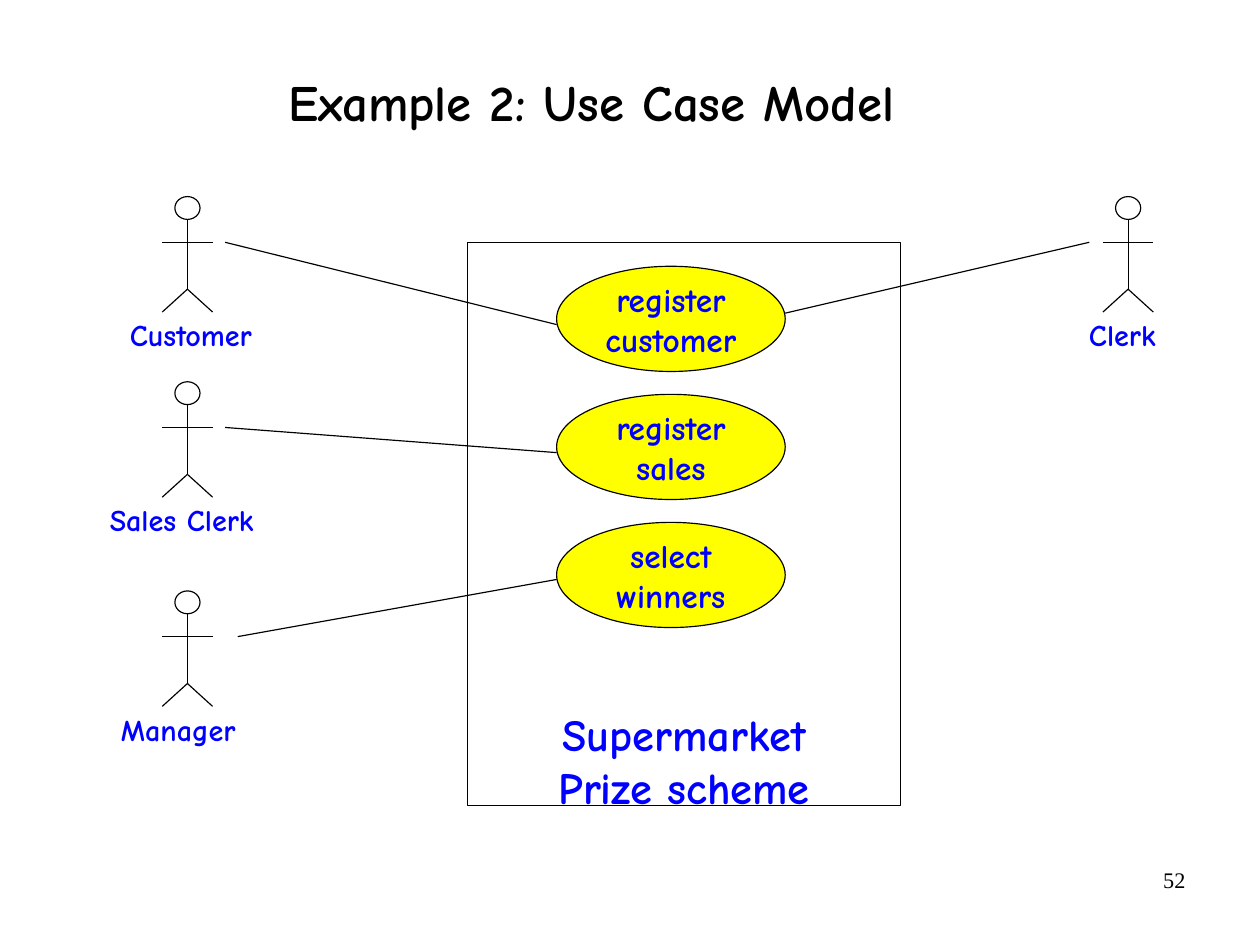
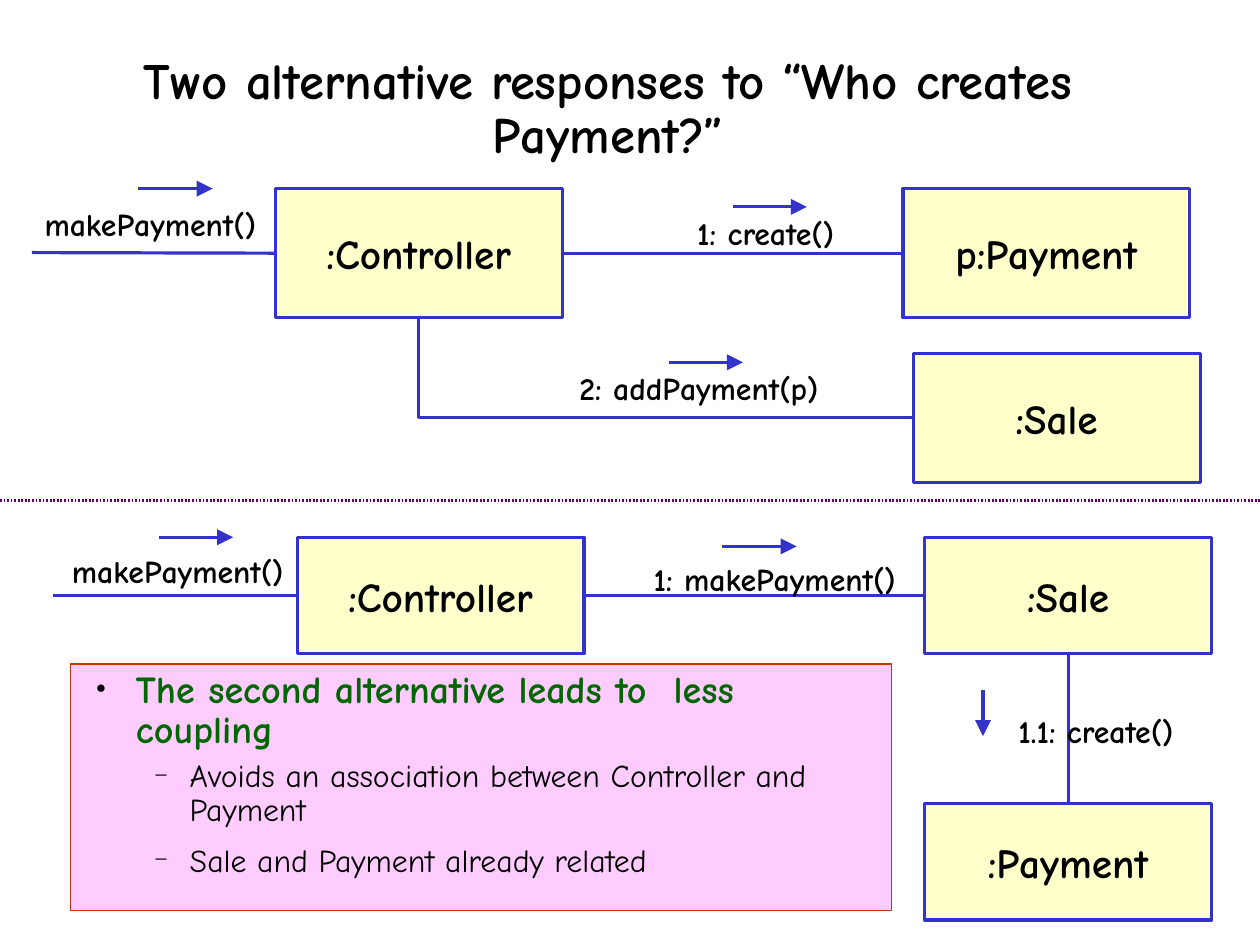
from dataclasses import dataclass

from pptx import Presentation
from pptx.dml.color import RGBColor
from pptx.enum.shapes import MSO_CONNECTOR as CONN, MSO_SHAPE as SHAPE
from pptx.enum.text import MSO_ANCHOR as ANCHOR, MSO_AUTO_SIZE as AUTO, PP_ALIGN as ALIGN
from pptx.oxml.ns import qn
from pptx.util import Cm, Inches, Pt
from lxml.etree import SubElement

BLACK = RGBColor(0x00, 0x00, 0x00)
BLUE = RGBColor(0x00, 0x00, 0xFF)
YELLOW = RGBColor(0xFF, 0xFF, 0x00)
INDIGO = RGBColor(0x33, 0x33, 0xCC)
CREAM = RGBColor(0xFF, 0xFF, 0xCC)
PINK = RGBColor(0xFF, 0xCC, 0xFF)
RUST = RGBColor(0xCC, 0x33, 0x00)
GREEN = RGBColor(0x00, 0x66, 0x00)
PURPLE = RGBColor(0x66, 0x00, 0x66)
FONT, SERIF = "Comic Neue", "Times New Roman"
SLIDE_W, SLIDE_H = Cm(28), Cm(21)
THIN, THICK = 0.75, 2
CASE_X, CASE_Y, CASE_W, CASE_H, CASE_STEP = 4.87, 2.33, 2, 0.92, 1.12
BOX_W = 2.51


@dataclass
class Actor:
    """A stick figure, its caption and its link to a use case."""
    name: str
    x: float
    y: float
    caption_x: float
    reach: float
    end: tuple[float, float]


@dataclass
class Box:
    """An object box in a collaboration diagram."""
    name: str
    x: float
    y: float
    h: float


@dataclass
class Message:
    """A message label with its direction arrow."""
    text: str
    x: float
    y: float
    arrow: tuple[float, float]
    dx: float = 0.65
    dy: float = 0


@dataclass
class Point:
    """A bulleted paragraph."""
    text: str
    level: int
    size: int
    color: RGBColor
    bold: bool
    left: float
    hang: float
    after: float
    bullet: str
    scale: int


ACTORS = [
    Actor("Customer", 1.64, 1.72, 1.67, 0.33, (CASE_X, 2.84)),
    Actor("Sales Clerk", 1.64, 3.34, 1.59, 0.33, (CASE_X, 3.96)),
    Actor("Manager", 1.64, 5.17, 1.56, 0.44, (CASE_X, 5.07)),
    Actor("Clerk", 9.87, 1.72, 9.82, -0.34, (CASE_X + CASE_W, 2.74)),
]
USE_CASES = ["register\ncustomer", "register\nsales", "select\nwinners"]
BOXES = [
    Box(":Controller", 2.41, 1.65, 1.13),
    Box("p:Payment", 7.9, 1.65, 1.13),
    Box(":Sale", 7.99, 3.09, 1.13),
    Box(":Controller", 2.6, 4.7, 1.02),
    Box(":Sale", 8.09, 4.7, 1.02),
    Box(":Payment", 8.09, 7.03, 1.02),
]
MESSAGES = [
    Message("makePayment()", 0.28, 1.73, (1.21, 1.65)),
    Message("1: create()", 5.99, 1.81, (6.41, 1.81)),
    Message("2: addPayment(p)", 4.96, 3.17, (5.85, 3.17)),
    Message("makePayment()", 0.52, 4.77, (1.39, 4.7)),
    Message("1: makePayment()", 5.61, 4.84, (6.32, 4.78)),
    Message("1.1: create()", 8.8, 6.17, (8.6, 6.04), 0, 0.4),
]
POINTS = [
    Point("The second alternative leads to  less coupling", 0, 24, GREEN, True, 0.46, 0.35, 6, "●", 45),
    Point("Avoids an association between Controller and Payment", 1, 20, BLACK, False, 0.93, 0.31, 10.9, "−", 75),
    Point("Sale and Payment already related", 1, 20, BLACK, False, 0.93, 0.31, 10.9, "−", 75),
]


def place(sp, x: float, y: float, w: float, h: float) -> None:
    """Move and size a shape, in inches."""
    sp.left, sp.top, sp.width, sp.height = Inches(x), Inches(y), Inches(w), Inches(h)


def set_frame(tf, anchor, dx: float = 0.11, dy: float = 0.06, wrap: bool = True) -> None:
    """Set the margins, anchor and wrapping of a text frame."""
    tf.auto_size = AUTO.NONE
    tf.word_wrap = wrap
    tf.vertical_anchor = anchor
    tf.margin_left = tf.margin_right = Inches(dx)
    tf.margin_top = tf.margin_bottom = Inches(dy)


def style(p, size: float, color: RGBColor, bold: bool = True, align=None, font: str = FONT) -> None:
    """Format a paragraph and its runs."""
    p.alignment = align
    for r in p.runs:
        r.font.name, r.font.size, r.font.bold = font, Pt(size), bold
        r.font.color.rgb = color


def set_text(tf, text: str, size: float, color: RGBColor, align=ALIGN.CENTER) -> None:
    """Fill a text frame with evenly formatted text."""
    tf.text = text
    for p in tf.paragraphs:
        style(p, size, color, align=align)


def add_text(s, text: str, x: float, y: float, w: float, h: float, size: float,
             color: RGBColor, align=ALIGN.LEFT, anchor=ANCHOR.TOP):
    """Add a text box."""
    sp = s.shapes.add_textbox(Inches(x), Inches(y), Inches(w), Inches(h))
    set_frame(sp.text_frame, anchor)
    set_text(sp.text_frame, text, size, color, align)
    return sp


def add_shape(s, kind, x: float, y: float, w: float, h: float, line: RGBColor,
              width: float, fill: RGBColor | None = None):
    """Add a flat preset shape."""
    sp = s.shapes.add_shape(kind, Inches(x), Inches(y), Inches(w), Inches(h))
    sp.shadow.inherit = False
    if fill is None:
        sp.fill.background()
    else:
        sp.fill.solid()
        sp.fill.fore_color.rgb = fill
    sp.line.color.rgb = line
    sp.line.width = Pt(width)
    return sp


def add_line(s, start: tuple[float, float], end: tuple[float, float], color: RGBColor = BLACK,
             width: float = THIN, arrow: bool = False, dotted: bool = False, kind=CONN.STRAIGHT):
    """Add a flat connector, dotted or with an arrowhead if asked."""
    c = s.shapes.add_connector(kind, *(Inches(v) for v in (*start, *end)))
    c.line.color.rgb = color
    c.line.width = Pt(width)
    spPr = c.element.spPr
    ln = spPr.find(qn("a:ln"))
    if dotted:
        SubElement(SubElement(ln, qn("a:custDash")), qn("a:ds"), d="50000", sp="50000")
    if arrow:
        SubElement(ln, qn("a:tailEnd"), type="triangle", w="lg", len="lg")
    SubElement(spPr, qn("a:effectLst"))
    return c


def join(s, a, a_side: int, b, b_side: int, kind=CONN.STRAIGHT):
    """Link two boxes from side to side."""
    c = add_line(s, (0, 0), (1, 1), INDIGO, THICK, kind=kind)
    c.begin_connect(a, a_side)
    c.end_connect(b, b_side)
    return c


def join_corner(s, a, b) -> None:
    """Link the bottom of one box to the left of another round one corner."""
    c = join(s, a, 2, b, 1, CONN.ELBOW)
    w, h = c.width, c.height
    shift = (w - h) // 2
    c.left, c.top, c.width, c.height = c.left + shift, c.top - shift, h, w
    spPr = c.element.spPr
    xfrm = spPr.find(qn("a:xfrm"))
    xfrm.set("rot", "16200000")
    xfrm.set("flipH", "1")
    spPr.find(qn("a:prstGeom")).set("prst", "bentConnector2")


def set_title(s, text: str, x: float, y: float, w: float, h: float, spacing: float, before: float) -> None:
    """Fill and format the title placeholder."""
    sp = s.shapes.title
    place(sp, x, y, w, h)
    set_frame(sp.text_frame, ANCHOR.MIDDLE, 0.02, 0.06)
    set_text(sp.text_frame, text, 32, BLACK)
    p = sp.text_frame.paragraphs[0]
    p.line_spacing, p.space_before = spacing, Pt(before)


def add_actor(s, a: Actor) -> None:
    """Draw a stick figure with its caption and association."""
    add_shape(s, SHAPE.OVAL, a.x - 0.11, a.y, 0.22, 0.2, BLACK, THIN)
    neck, hip, arm, foot = a.y + 0.2, a.y + 0.81, a.y + 0.4, a.y + 1.01
    add_line(s, (a.x, neck), (a.x, hip))
    add_line(s, (a.x - 0.22, arm), (a.x + 0.22, arm))
    for side in (-0.22, 0.22):
        add_line(s, (a.x, hip), (a.x + side, foot))
    add_text(s, a.name, a.caption_x - 0.9, a.y + 0.99, 1.8, 0.43, 19, BLUE, ALIGN.CENTER)
    add_line(s, a.end, (a.x + a.reach, arm))


def add_box(s, b: Box):
    """Draw an object box."""
    sp = add_shape(s, SHAPE.RECTANGLE, b.x, b.y, BOX_W, b.h, INDIGO, THICK, CREAM)
    set_frame(sp.text_frame, ANCHOR.MIDDLE)
    set_text(sp.text_frame, b.name, 26, BLACK)
    return sp


def add_message(s, m: Message) -> None:
    """Draw a message label and its arrow."""
    add_text(s, m.text, m.x, m.y, 2.6 if m.x < 8 else 2, 0.44, 20, BLACK)
    x, y = m.arrow
    add_line(s, m.arrow, (x + m.dx, y + m.dy), INDIGO, THICK, arrow=True)


def add_point(p, pt: Point) -> None:
    """Fill a bulleted paragraph."""
    p.text, p.level = pt.text, pt.level
    style(p, pt.size, pt.color, pt.bold, ALIGN.LEFT)
    p.line_spacing, p.space_before, p.space_after = 0.88, Pt(0), Pt(pt.after)
    pPr = p._p.get_or_add_pPr()
    pPr.set("marL", str(Inches(pt.left)))
    pPr.set("indent", str(-Inches(pt.hang)))
    SubElement(SubElement(pPr, qn("a:buClr")), qn("a:srgbClr"), val=str(BLACK))
    SubElement(pPr, qn("a:buSzPct"), val=str(pt.scale * 1000))
    SubElement(pPr, qn("a:buFont"), typeface=SERIF)
    SubElement(pPr, qn("a:buChar"), char=pt.bullet)


def build_use_cases(prs) -> None:
    """Build the use case slide."""
    s = prs.slides.add_slide(prs.slide_layouts[5])
    set_title(s, "Example 2: Use Case Model", 0.49, 0.2, 9.37, 1.42, 0.94, 8.1)
    add_shape(s, SHAPE.RECTANGLE, 4.09, 2.12, 3.79, 4.93, BLACK, THIN)
    add_text(s, "Supermarket\nPrize scheme", 4.09, 6.15, 3.79, 1, 28, BLUE, ALIGN.CENTER, ANCHOR.MIDDLE)
    for i, name in enumerate(USE_CASES):
        sp = add_shape(s, SHAPE.OVAL, CASE_X, CASE_Y + i * CASE_STEP, CASE_W, CASE_H, BLACK, THIN, YELLOW)
        set_frame(sp.text_frame, ANCHOR.MIDDLE, wrap=False)
        set_text(sp.text_frame, name, 21, BLUE)
    for a in ACTORS:
        add_actor(s, a)
    number = add_text(s, "52", 7.9, 7.53, 2.57, 0.57, 14, BLACK)
    set_frame(number.text_frame, ANCHOR.TOP, 0.1, 0.05)
    style(number.text_frame.paragraphs[0], 14, BLACK, False, ALIGN.RIGHT, SERIF)


def build_alternatives(prs) -> None:
    """Build the slide that compares two collaborations."""
    s = prs.slides.add_slide(prs.slide_layouts[1])
    set_title(s, "Two alternative responses to “Who creates Payment?”", 0.62, 0.28, 9.4, 1.37, 0.88, 0)
    controller, payment, sale, controller2, sale2, payment2 = [add_box(s, b) for b in BOXES]
    for x, y, box in ((0.28, 2.21, controller), (0.46, 5.21, controller2)):
        add_line(s, (x, y), (x + 2.13, y), INDIGO, THICK).end_connect(box, 1)
    join(s, controller, 3, payment, 1)
    join_corner(s, controller, sale)
    join(s, controller2, 3, sale2, 1)
    join(s, sale2, 2, payment2, 0)
    for m in MESSAGES:
        add_message(s, m)
    body = s.placeholders[1]
    place(body, 0.62, 5.81, 7.18, 2.16)
    body.fill.solid()
    body.fill.fore_color.rgb = PINK
    body.line.color.rgb = RUST
    body.line.width = Pt(THIN)
    tf = body.text_frame
    set_frame(tf, ANCHOR.TOP)
    for i, pt in enumerate(POINTS):
        add_point(tf.add_paragraph() if i else tf.paragraphs[0], pt)
    add_line(s, (0, 4.38), (SLIDE_W.inches, 4.38), PURPLE, 2.25, dotted=True)


def main() -> None:
    """Build and save the presentation."""
    prs = Presentation()
    prs.slide_width, prs.slide_height = SLIDE_W, SLIDE_H
    build_use_cases(prs)
    build_alternatives(prs)
    prs.save("out.pptx")


if __name__ == "__main__":
    main()
